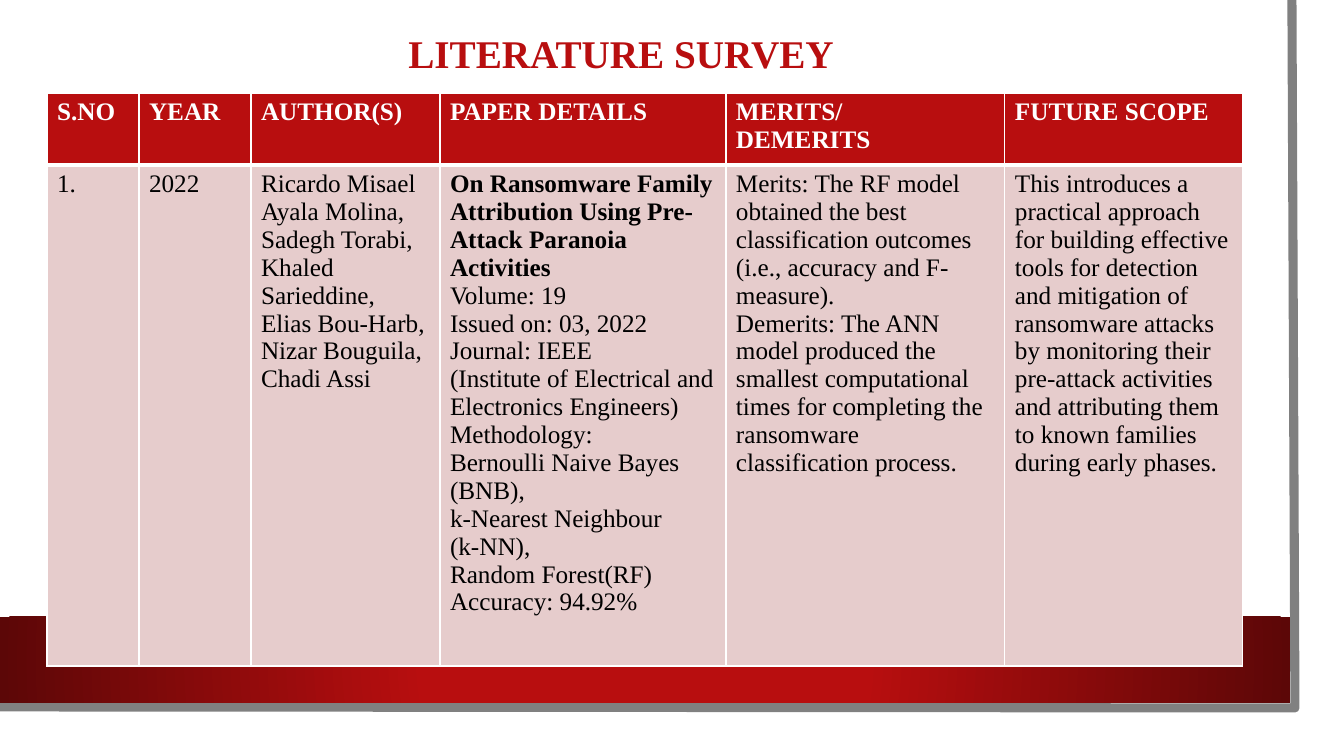
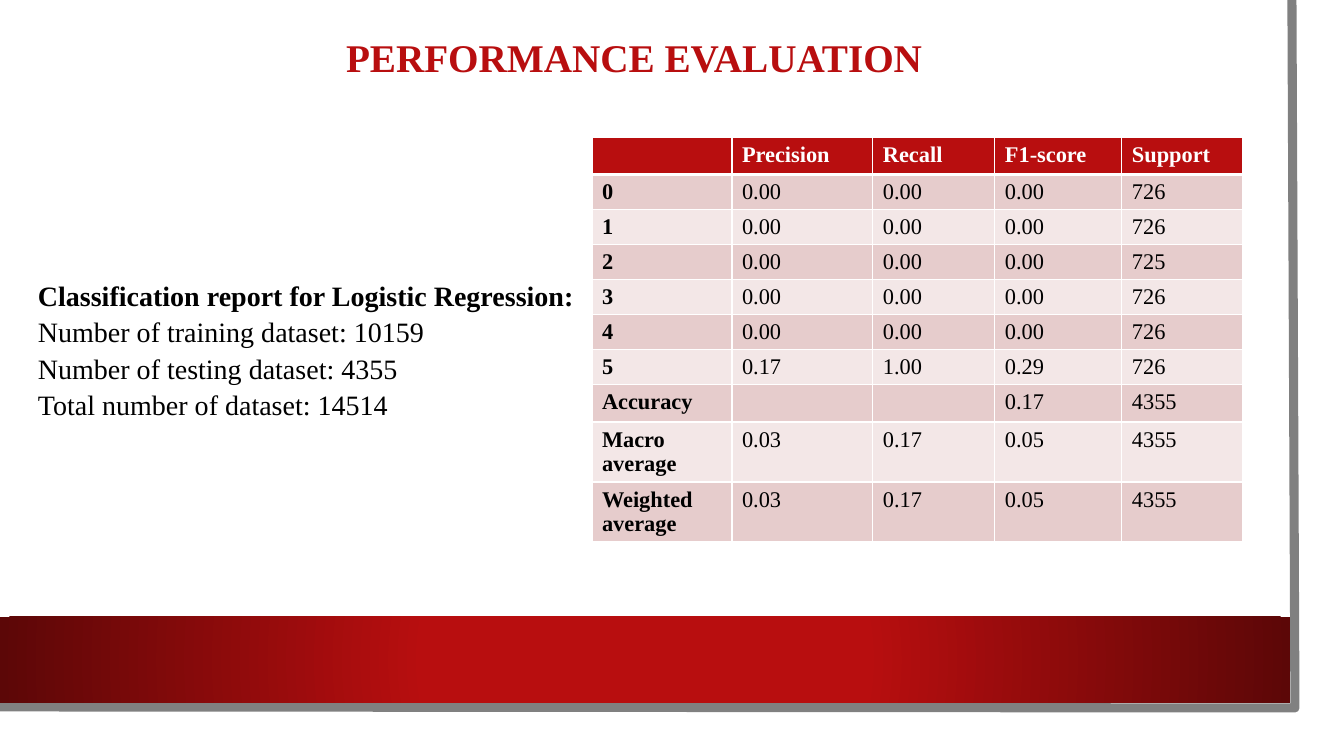
from dataclasses import dataclass

from lxml.etree import SubElement
from pptx import Presentation
from pptx.dml.color import RGBColor
from pptx.enum.shapes import MSO_SHAPE
from pptx.enum.text import MSO_ANCHOR, PP_ALIGN
from pptx.oxml import parse_xml
from pptx.oxml.ns import nsdecls, qn
from pptx.util import Pt

PX = 914400 / 100.8
SLIDE = (1344, 756)


@dataclass(frozen=True)
class Theme:
    font: str = "Times New Roman"
    red: str = "B80E0F"
    dark_red: str = "5C0707"
    white: str = "FFFFFF"
    black: str = "000000"
    grey: str = "808080"
    bands: tuple = ("E6CCCC", "F3E7E7")
    title: int = 28
    body: int = 20
    survey: int = 18
    scores: int = 16
    frame: float = 6.5
    rule: int = 1
    header_rule: int = 3


T = Theme()

SURVEY = {
    "title": "LITERATURE SURVEY",
    "title_box": (96, 19, 1050, 74),
    "at": (47, 93),
    "cols": (92, 112, 189, 286, 279, 238),
    "rows": (72, 501),
    "size": T.survey,
    "bold": lambda row, col, line: (col, line) == (3, 0),
    "cells": [
        ("S.NO", "YEAR", "AUTHOR(S)", "PAPER DETAILS", "MERITS/\nDEMERITS", "FUTURE SCOPE"),
        (
            "1.",
            "2022",
            "Ricardo Misael Ayala Molina, Sadegh Torabi, Khaled Sarieddine, "
            "Elias Bou-Harb, Nizar Bouguila, Chadi Assi",
            "On Ransomware Family Attribution Using Pre-Attack Paranoia Activities\n"
            "Volume: 19\n"
            "Issued on: 03, 2022\n"
            "Journal: IEEE\n"
            "(Institute of Electrical and Electronics Engineers)\n"
            "Methodology:\n"
            "Bernoulli Naive Bayes (BNB),\n"
            "k-Nearest Neighbour\n"
            "(k-NN),\n"
            "Random Forest(RF)\n"
            "Accuracy: 94.92%",
            "Merits: The RF model obtained the best classification outcomes "
            "(i.e., accuracy and F-measure).\n"
            "Demerits: The ANN model produced the smallest computational times "
            "for completing the ransomware classification process.",
            "This introduces a practical approach for building effective tools for "
            "detection and mitigation of ransomware attacks by monitoring their "
            "pre-attack activities and attributing them to known families during "
            "early phases.",
        ),
    ],
}

SCORES = {
    "title": "PERFORMANCE EVALUATION",
    "title_box": (109, 12, 1050, 96),
    "at": (592, 137),
    "cols": (140, 141, 122, 127, 121),
    "rows": (35,) * 8 + (60,) * 2,
    "size": T.scores,
    "bold": lambda row, col, line: col == 0,
    "cells": [
        ("", "Precision", "Recall", "F1-score", "Support"),
        ("0", "0.00", "0.00", "0.00", "726"),
        ("1", "0.00", "0.00", "0.00", "726"),
        ("2", "0.00", "0.00", "0.00", "725"),
        ("3", "0.00", "0.00", "0.00", "726"),
        ("4", "0.00", "0.00", "0.00", "726"),
        ("5", "0.17", "1.00", "0.29", "726"),
        ("Accuracy", "", "", "0.17", "4355"),
        ("Macro average", "0.03", "0.17", "0.05", "4355"),
        ("Weighted average", "0.03", "0.17", "0.05", "4355"),
    ],
}

REPORT_BOX = (28, 270, 562, 179)
REPORT = [
    "Classification report for Logistic Regression:",
    "Number of training dataset: 10159",
    "Number of testing dataset: 4355",
    "Total number of dataset: 14514",
]


def emu(*values):
    return [round(v * PX) for v in values]


def rgb(color):
    return RGBColor.from_string(color)


def write(tf, lines, size, color, bold, **fmt):
    for i, line in enumerate(lines):
        p = tf.paragraphs[0] if i == 0 else tf.add_paragraph()
        for name, value in fmt.items():
            setattr(p, name, value)
        if not line:
            p._p.get_or_add_endParaRPr().set("sz", str(size * 100))
            continue
        r = p.add_run()
        r.text = line
        font = {"name": T.font, "size": Pt(size), "bold": bold(i)}
        for name, value in font.items():
            setattr(r.font, name, value)
        r.font.color.rgb = rgb(color)


def add_backdrop(s, layout):
    page = s.shapes.add_shape(MSO_SHAPE.RECTANGLE, *emu(0, 0, 1320, 733))
    page.fill.solid()
    page.fill.fore_color.rgb = rgb(T.white)
    page.line.fill.background()

    builder = s.shapes.build_freeform(1292, 0, scale=PX)
    builder.add_line_segments([(1295, 708), (0, 707)], close=False)
    frame = builder.convert_to_shape()
    frame.fill.background()
    frame.line.color.rgb = rgb(T.grey)
    frame.line.width = Pt(T.frame)

    band = s.shapes.add_shape(MSO_SHAPE.RECTANGLE, *emu(0, 617, 1290, 86))
    band.line.fill.background()
    stops = "".join(
        f'<a:gs pos="{pos}"><a:srgbClr val="{color}"/></a:gs>'
        for pos, color in ((34000, T.red), (100000, T.dark_red))
    )
    band._element.spPr.find(qn("a:prstGeom")).addnext(parse_xml(
        f'<a:gradFill {nsdecls("a")} rotWithShape="1"><a:gsLst>{stops}</a:gsLst>'
        '<a:path path="circle"><a:fillToRect l="50000" t="50000" r="50000" b="50000"/>'
        "</a:path></a:gradFill>"
    ))

    for i, sp in enumerate((page, frame, band)):
        sp.shadow.inherit = False
        layout.shapes._spTree.insert(2 + i, sp._element)


def add_title(s, text, box):
    sp = s.shapes.title
    for name, value in zip(("left", "top", "width", "height"), emu(*box)):
        setattr(sp, name, value)
    sp.text_frame.vertical_anchor = MSO_ANCHOR.MIDDLE
    write(sp.text_frame, [text], T.title, T.red, lambda i: True,
          alignment=PP_ALIGN.CENTER, line_spacing=0.9)


def set_borders(cell, row):
    widths = {
        "L": T.rule,
        "R": T.rule,
        "T": T.header_rule if row == 1 else T.rule,
        "B": T.header_rule if row == 0 else T.rule,
    }
    tcPr = cell._tc.get_or_add_tcPr()
    for i, (side, width) in enumerate(widths.items()):
        ln = SubElement(tcPr, qn(f"a:ln{side}"), w=str(Pt(width)))
        SubElement(SubElement(ln, qn("a:solidFill")), qn("a:srgbClr"), val=T.white)
        tcPr.insert(i, ln)


def add_grid(s, data):
    cols, rows = data["cols"], data["rows"]
    box = emu(*data["at"], sum(cols), sum(rows))
    tbl = s.shapes.add_table(len(rows), len(cols), *box).table
    tbl.horz_banding = False
    for col, width in zip(tbl.columns, emu(*cols)):
        col.width = width
    for row, height in zip(tbl.rows, emu(*rows)):
        row.height = height
    for r, texts in enumerate(data["cells"]):
        head = r == 0
        for c, text in enumerate(texts):
            cell = tbl.cell(r, c)
            cell.fill.solid()
            cell.fill.fore_color.rgb = rgb(T.red if head else T.bands[(r - 1) % 2])
            set_borders(cell, r)
            write(cell.text_frame, text.split("\n"), data["size"],
                  T.white if head else T.black,
                  lambda i: head or data["bold"](r, c, i))


def main():
    prs = Presentation()
    prs.slide_width, prs.slide_height = emu(*SLIDE)
    layout = prs.slide_layouts[5]
    for data in (SURVEY, SCORES):
        s = prs.slides.add_slide(layout)
        if data is SURVEY:
            add_backdrop(s, layout)
        add_title(s, data["title"], data["title_box"])
        add_grid(s, data)
    tf = s.shapes.add_textbox(*emu(*REPORT_BOX)).text_frame
    tf.word_wrap = True
    write(tf, REPORT, T.body, T.black, lambda i: i == 0, line_spacing=1.09)
    prs.save("out.pptx")


if __name__ == "__main__":
    main()
